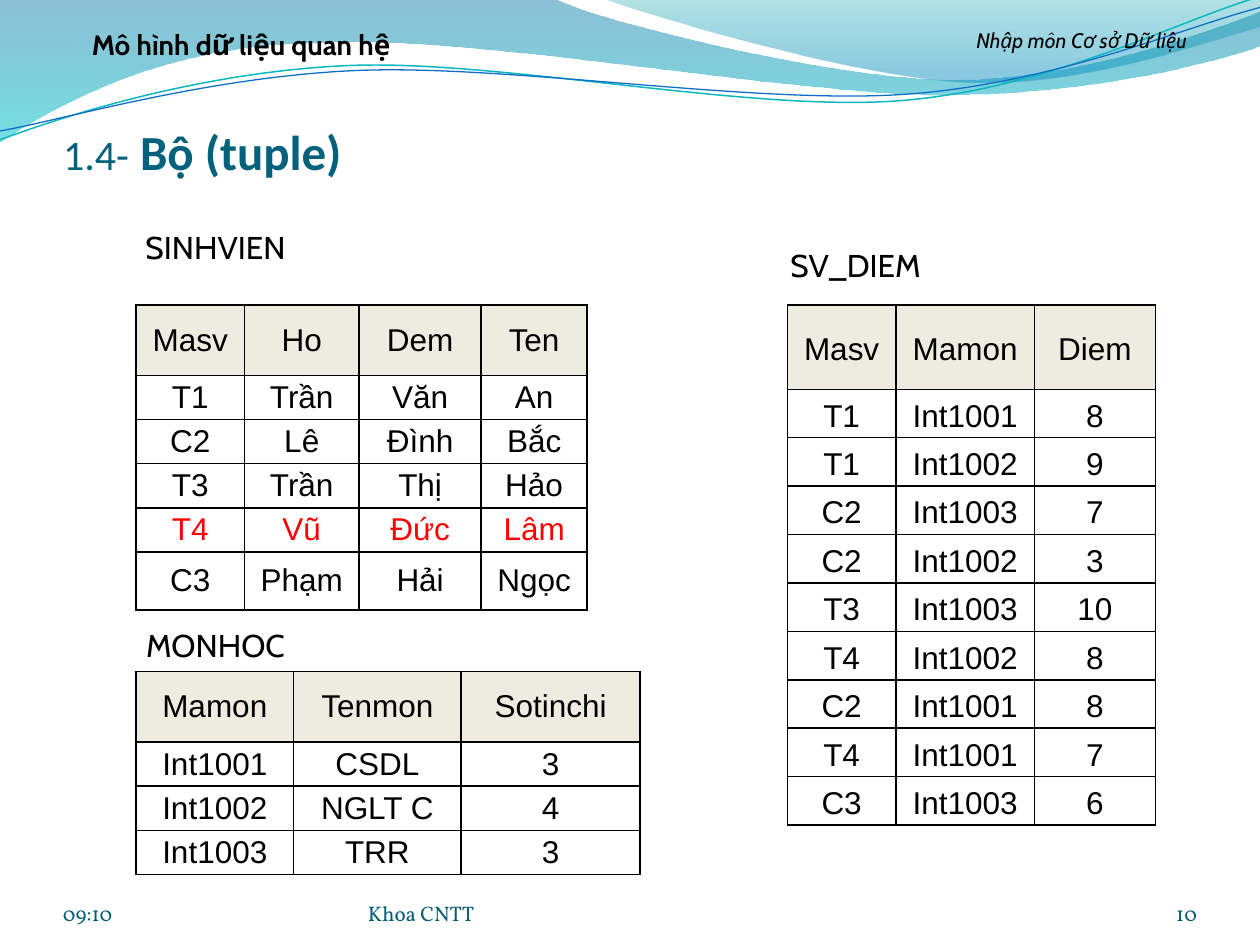
from dataclasses import dataclass
from itertools import chain, product
from math import cos, radians, sin

from lxml.etree import SubElement
from pptx import Presentation
from pptx.dml.color import RGBColor
from pptx.enum.text import MSO_ANCHOR, PP_ALIGN
from pptx.oxml.ns import qn
from pptx.util import Inches, Pt

BLACK, RED, TEAL, FOOTER_TEAL, HEADER_FILL = "000000", "FF0000", "04617B", "045D75", "EEECE1"
RIPPLE_TILT = -2.7

Point = tuple[float, float]
Segment = tuple[Point, ...]  # one point is a line, three points are a cubic curve


@dataclass
class Stop:
    position: float
    color: str
    alpha: int


@dataclass
class Wave:
    start: Point
    segments: list[Segment]
    stops: list[Stop]


@dataclass
class Ripple:
    start: Point
    segments: list[Segment]
    center: Point
    color: str
    width: float


@dataclass
class Label:
    text: str
    box: tuple[float, float, float, float]
    size: int
    font: str = "Cabin"
    color: str = BLACK
    align: PP_ALIGN = PP_ALIGN.CENTER
    bold: bool = False
    italic: bool = False
    footer: bool = False


@dataclass
class Relation:
    left: float
    top: float
    columns: list[float]
    row_heights: list[float]
    rows: list[list[str]]
    line_spacing: float = 1.0
    highlighted_row: int | None = None


def rgb(color: str) -> RGBColor:
    return RGBColor.from_string(color)


def style_font(font, name: str, size: int, color: str, bold=False, italic=False) -> None:
    font.name, font.size, font.bold, font.italic = name, Pt(size), bold, italic
    font.color.rgb = rgb(color)


def add_outline(slide, start: Point, segments: list[Segment], close: bool):
    builder = slide.shapes.build_freeform(*map(Inches, start))
    builder.add_line_segments(
        [(Inches(x), Inches(y)) for x, y in chain.from_iterable(segments)], close=close)
    shape = builder.convert_to_shape()
    shape.shadow.inherit = False
    # Merge each three-point segment into one cubic curve
    outline = next(shape._element.iter(qn("a:path")))
    lines = iter(outline.findall(qn("a:lnTo")))
    for segment in segments:
        first, *others = [next(lines) for _ in segment]
        if others:
            first.tag = qn("a:cubicBezTo")
        for other in others:
            first.append(other[0])
            outline.remove(other)
    return shape


def add_wave(slide, wave: Wave) -> None:
    shape = add_outline(slide, wave.start, wave.segments, close=True)
    shape.line.fill.background()
    shape.fill.gradient()
    shape.fill.gradient_angle = 270
    for target, stop in zip(shape.fill.gradient_stops, wave.stops):
        target.position = stop.position
        target.color.rgb = rgb(stop.color)
    for color, stop in zip(shape.fill._xPr.iter(qn("a:srgbClr")), wave.stops):
        SubElement(color, qn("a:alpha"), val=str(stop.alpha * 1000))


def turn(point: Point, center: Point, degrees: float) -> Point:
    x, y = point[0] - center[0], point[1] - center[1]
    c, s = cos(radians(degrees)), sin(radians(degrees))
    return center[0] + x * c - y * s, center[1] + x * s + y * c


def add_ripple(slide, ripple: Ripple) -> None:
    """Draw the level curve, then tilt it as a whole."""
    level = [tuple(turn(p, ripple.center, -RIPPLE_TILT) for p in segment)
             for segment in ripple.segments]
    start = turn(ripple.start, ripple.center, -RIPPLE_TILT)
    shape = add_outline(slide, start, level, close=False)
    shape.rotation = RIPPLE_TILT % 360
    shape.fill.background()
    shape.line.color.rgb = rgb(ripple.color)
    shape.line.width = Pt(ripple.width)


def add_label(slide, label: Label) -> None:
    frame = slide.shapes.add_textbox(*map(Inches, label.box)).text_frame
    frame.word_wrap = True
    if label.footer:
        frame.vertical_anchor = MSO_ANCHOR.BOTTOM
        frame.margin_left = frame.margin_right = frame.margin_top = frame.margin_bottom = 0
    frame.text = label.text
    paragraph = frame.paragraphs[0]
    paragraph.alignment = label.align
    style_font(paragraph.runs[0].font, label.font, label.size, label.color,
               label.bold, label.italic)


def add_borders(cell) -> None:
    properties = cell._tc.get_or_add_tcPr()
    for side in ("lnL", "lnR", "lnT", "lnB"):
        border = SubElement(properties, qn(f"a:{side}"), w=str(Pt(1)))
        fill = SubElement(border, qn("a:solidFill"))
        SubElement(fill, qn("a:srgbClr"), val=BLACK)


def add_relation(slide, relation: Relation) -> None:
    table = slide.shapes.add_table(
        len(relation.rows), len(relation.columns),
        Inches(relation.left), Inches(relation.top),
        Inches(sum(relation.columns)), Inches(sum(relation.row_heights))).table
    table.first_row = table.horz_banding = False
    for column, width in zip(table.columns, relation.columns):
        column.width = Inches(width)
    for row, height in zip(table.rows, relation.row_heights):
        row.height = Inches(height)
    for r, c in product(range(len(relation.rows)), range(len(relation.columns))):
        cell = table.cell(r, c)
        cell.vertical_anchor = MSO_ANCHOR.MIDDLE
        cell.margin_left = cell.margin_right = Inches(0.07)
        cell.margin_top = cell.margin_bottom = 0
        add_borders(cell)
        if r == 0:
            cell.fill.solid()
            cell.fill.fore_color.rgb = rgb(HEADER_FILL)
        else:
            cell.fill.background()
        cell.text_frame.text = relation.rows[r][c]
        paragraph = cell.text_frame.paragraphs[0]
        paragraph.alignment = PP_ALIGN.CENTER
        paragraph.line_spacing = relation.line_spacing
        color = RED if r == relation.highlighted_row else BLACK
        style_font(paragraph.runs[0].font, "Arial", 18, color)


def add_title(slide) -> None:
    title = slide.shapes.title
    title.left, title.top, title.width, title.height = map(Inches, (0.5, 0.75, 9, 0.68))
    frame = title.text_frame
    frame.vertical_anchor = MSO_ANCHOR.BOTTOM
    frame.margin_left = frame.margin_right = frame.margin_bottom = 0
    paragraph = frame.paragraphs[0]
    paragraph.alignment = PP_ALIGN.LEFT
    for text, size, bold in (("1.4-", 24, False), (" Bộ (tuple)", 28, True)):
        run = paragraph.add_run()
        run.text = text
        style_font(run.font, "Calibri", size, TEAL, bold)


def split_rows(*lines: str) -> list[list[str]]:
    return [line.split("|") for line in lines]


# Header waves and the two thin ripples
WAVES = [
    Wave((0, -0.01), [
        ((4.4, -0.01),),
        ((4.76, 0.17), (6.64, 0.63), (7.58, 0.63)), ((8.53, 0.63), (9.58, 0.26), (10, 0.09)),
        ((10.01, 0.36),),
        ((9.83, 0.44), (8.7, 0.76), (7.46, 0.75)), ((6.22, 0.75), (3.82, 0.28), (2.57, 0.34)),
        ((1.29, 0.35), (0.46, 0.83), (-0.01, 1.13))],
        [Stop(0, "0074A1", 45), Stop(1, "00C6CF", 55)]),
    Wave((4.79, -0.01), [
        ((5.09, 0.11), (6.82, 0.62), (7.69, 0.65)), ((8.56, 0.69), (9.61, 0.32), (10, 0.21)),
        ((10, 0),)],
        [Stop(0, "00A1A9", 30), Stop(0.8, "008BBF", 45)]),
]
RIPPLES = [
    Ripple((0, 1.11), [
        ((0.48, 0.93), (1.58, 0.57), (2.77, 0.52)), ((3.95, 0.47), (5.93, 0.89), (7.13, 0.8)),
        ((8.33, 0.71), (9.38, 0.15), (9.98, -0.02))], (4.99, 0.58), "0AB8BF", 0.85),
    Ripple((0, 1.04), [
        ((0.47, 0.96), (1.64, 0.61), (2.83, 0.56)), ((4.03, 0.51), (5.97, 0.83), (7.17, 0.75)),
        ((8.36, 0.67), (9.41, 0.21), (10, 0.06))], (5, 0.59), "0F6FC6", 0.75),
]

# Footer, running heads and relation names
FOOTER = dict(size=12, font="Vollkorn", color=FOOTER_TEAL, footer=True)
LABELS = [
    Label("09:10", (0.5, 6.95, 2.33, 0.4), align=PP_ALIGN.LEFT, **FOOTER),
    Label("10", (8.67, 6.95, 0.83, 0.4), align=PP_ALIGN.RIGHT, **FOOTER),
    Label("Khoa CNTT", (2.92, 6.95, 3.67, 0.4), align=PP_ALIGN.LEFT, **FOOTER),
    Label("Nhập môn Cơ sở Dữ liệu", (7.17, 0.17, 2.83, 0.38), 12, italic=True),
    Label("Mô hình dữ liệu quan hệ", (0.25, 0.17, 3.33, 0.37), 16, bold=True),
    Label("SINHVIEN", (1, 1.76, 1.42, 0.4), 18),
    Label("SV_DIEM", (6.08, 1.9, 1.42, 0.4), 18),
    Label("MONHOC", (1, 4.92, 1.42, 0.4), 18),
]

RELATIONS = [
    Relation(1.08, 2.42, [0.86, 0.91, 0.97, 0.84], [0.56] + [0.35] * 4 + [0.46],
             split_rows("Masv|Ho|Dem|Ten", "T1|Trần|Văn|An", "C2|Lê|Đình|Bắc",
                        "T3|Trần|Thị|Hảo", "T4|Vũ|Đức|Lâm", "C3|Phạm|Hải|Ngọc"),
             highlighted_row=4),
    Relation(6.25, 2.42, [0.86, 1.1, 0.96], [0.67] + [(4.13 - 0.67) / 9] * 9,
             split_rows("Masv|Mamon|Diem", "T1|Int1001|8", "T1|Int1002|9", "C2|Int1003|7",
                        "C2|Int1002|3", "T3|Int1003|10", "T4|Int1002|8", "C2|Int1001|8",
                        "T4|Int1001|7", "C3|Int1003|6"),
             line_spacing=1.15),
    Relation(1.08, 5.33, [1.25, 1.33, 1.42], [0.56] + [0.35] * 3,
             split_rows("Mamon|Tenmon|Sotinchi", "Int1001|CSDL|3", "Int1002|NGLT C|4",
                        "Int1003|TRR|3")),
]


def main() -> None:
    deck = Presentation()
    deck.slide_width, deck.slide_height = Inches(10), Inches(7.5)
    slide = deck.slides.add_slide(deck.slide_layouts[5])
    for wave in WAVES:
        add_wave(slide, wave)
    for ripple in RIPPLES:
        add_ripple(slide, ripple)
    add_title(slide)
    for label in LABELS:
        add_label(slide, label)
    for relation in RELATIONS:
        add_relation(slide, relation)
    deck.save("out.pptx")


if __name__ == "__main__":
    main()
